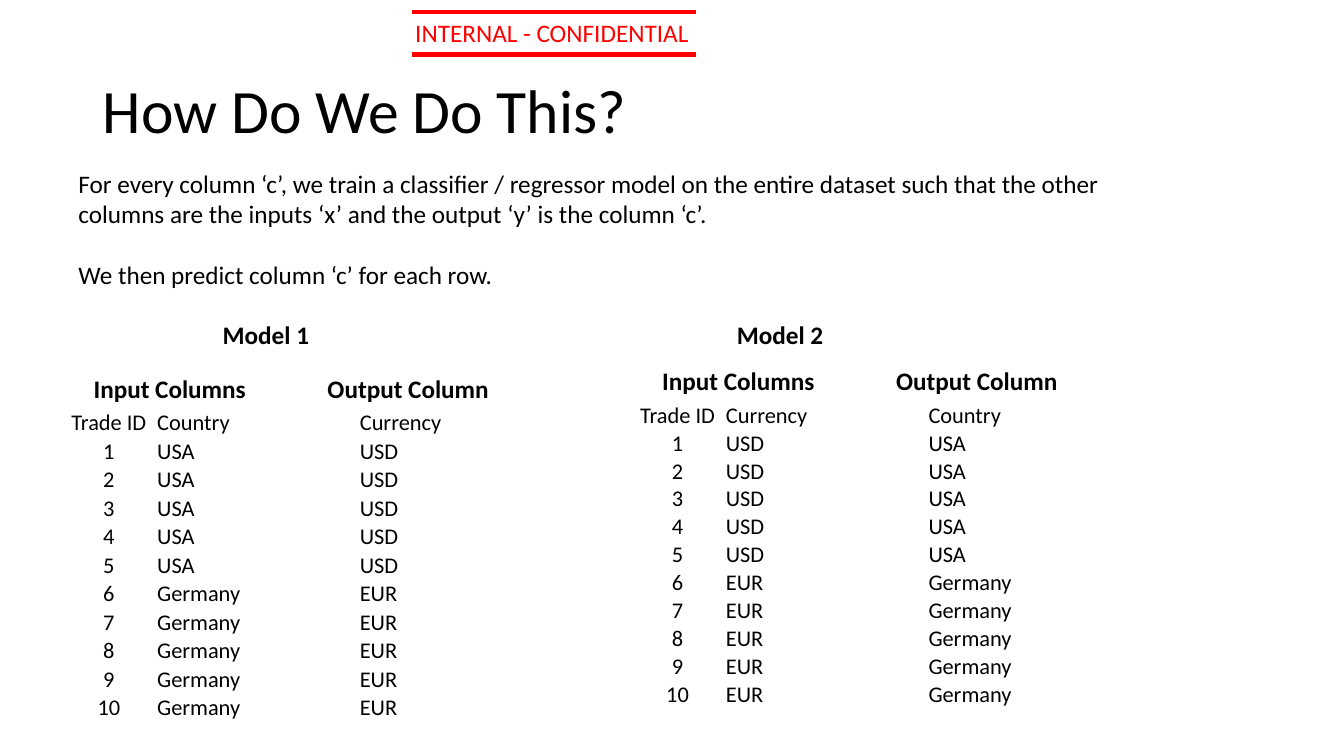
from pptx import Presentation
from pptx.dml.color import RGBColor
from pptx.enum.shapes import MSO_CONNECTOR
from pptx.enum.text import MSO_ANCHOR, PP_ALIGN
from pptx.util import Inches, Pt
from lxml.etree import SubElement
from pptx.oxml.ns import qn

COLORS = {"ink": "000000", "alert": "FF0000"}
FONT = "Calibri"
WIDTHS = (0.94, 1.03, 0.98, 0.98)


class Page:
    def __init__(self, slide):
        self.slide = slide

    def style(self, para, size, color="ink", bold=False):
        font = para.font
        font.name, font.size, font.bold = FONT, Pt(size), bold
        font.color.rgb = RGBColor.from_string(COLORS[color])

    def text(self, box, lines, size=18, color="ink", bold=False, gap=0):
        """Add a text box, with gap points before each later paragraph."""
        frame = self.slide.shapes.add_textbox(*map(Inches, box)).text_frame
        frame.word_wrap = True
        frame.text = "\n".join(lines)
        for i, para in enumerate(frame.paragraphs):
            self.style(para, size, color, bold)
            if i:
                para.space_before = Pt(gap)
        return frame

    def title(self, box, words):
        frame = self.text(box, [words], 44)
        frame.vertical_anchor = MSO_ANCHOR.MIDDLE
        frame.paragraphs[0].line_spacing = 0.9

    def rule(self, left, right, y):
        """Add a level red line."""
        line = self.slide.shapes.add_connector(
            MSO_CONNECTOR.STRAIGHT, *map(Inches, (left, y, right, y)))
        line.line.color.rgb = RGBColor.from_string(COLORS["alert"])
        line.line.width = Pt(3)
        SubElement(line._element.spPr, qn("a:effectLst"))

    def table(self, left, top, height, rows):
        table = self.slide.shapes.add_table(
            len(rows), len(WIDTHS), Inches(left), Inches(top),
            Inches(sum(WIDTHS)), Inches(height)).table
        table.first_row = table.horz_banding = False
        for col, width in zip(table.columns, WIDTHS):
            col.width = Inches(width)
        for r, row in enumerate(rows):
            for c, words in enumerate(row):
                self.cell(table.cell(r, c), words, c == 0)

    def cell(self, cell, words, center):
        cell.fill.background()
        cell.margin_left = cell.margin_right = Inches(0.01)
        cell.margin_top, cell.margin_bottom = Pt(0.5), 0
        cell.vertical_anchor = MSO_ANCHOR.BOTTOM
        para = cell.text_frame.paragraphs[0]
        if words:
            para.text = words
        else:
            # an empty cell takes its height from the end mark
            SubElement(para._p, qn("a:endParaRPr")).set("sz", "1600")
        self.style(para, 16)
        if center:
            para.alignment = PP_ALIGN.CENTER

    def model(self, name, place, heads, left, top, height, rows):
        """Add a model's name, column headings and table."""
        self.text((place, 3.12, 2.01, 0.4), [name], bold=True)
        for head, shift in zip(heads, (0.22, 2.54)):
            self.text((left + shift, top - 0.4, 1.93, 0.4), [head], bold=True)
        self.table(left, top, height, rows)


def main():
    deck = Presentation()
    deck.slide_width, deck.slide_height = Inches(13.33), Inches(7.5)
    page = Page(deck.slides.add_slide(deck.slide_layouts[6]))

    page.text((4.02, 0.12, 4.44, 0.4), ["INTERNAL - CONFIDENTIAL"],
              color="alert")
    for y in (0.12, 0.54):
        page.rule(4.09, 6.9, y)
    page.title((0.92, 0.4, 11.5, 1.45), "How Do We Do This?")
    page.text((0.68, 1.62, 10.73, 1.31), [
        "For every column ‘c’, we train a classifier / regressor model on "
        "the entire dataset such that the other columns are the inputs ‘x’ "
        "and the output ‘y’ is the column ‘c’.",
        "We then predict column ‘c’ for each row."], gap=22)

    trades = [("Trade ID", "Country", "Currency")]
    for n in range(1, 11):
        pair = ("USA", "USD") if n <= 5 else ("Germany", "EUR")
        trades.append((str(n), *pair))
    heads = ("Input Columns", "Output Column")
    page.model("Model 1", 2.11, heads, 0.61, 4.05, 3.11,
               [(n, land, "", cash) for n, land, cash in trades])
    page.model("Model 2", 7.21, heads, 6.25, 3.98, 3.05,
               [(n, cash, "", land) for n, land, cash in trades])
    deck.save("out.pptx")


if __name__ == "__main__":
    main()
